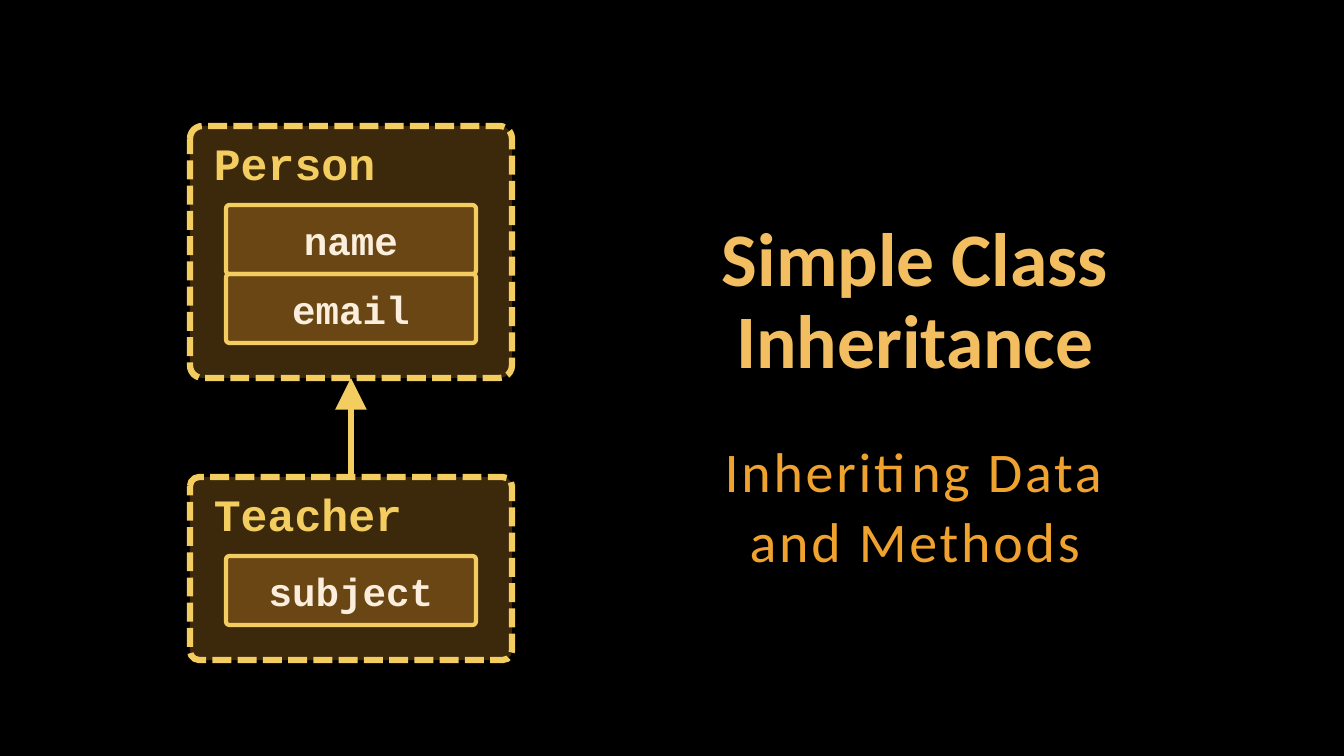
"""Build a slide on simple class inheritance: a class diagram beside a title."""
from lxml import etree
from pptx import Presentation, util as u
from pptx.dml.color import RGBColor
from pptx.enum import dml, shapes, text
from pptx.oxml.ns import qn

TITLE = "Simple Class Inheritance"
SUBTITLE = "Inheriting Data\vand Methods"
CLASSES = [
    ("Person", ["name", "email"]),
    ("Teacher", ["subject"]),
]

BLACK = RGBColor(0x00, 0x00, 0x00)
GOLD = RGBColor(0xF3, 0xCD, 0x60)
SAND = RGBColor(0xF3, 0xBE, 0x60)
ORANGE = RGBColor(0xF0, 0xA2, 0x2E)
CREAM = RGBColor(0xFB, 0xEE, 0xDC)

EMU_PER_PX = u.Inches(1) / 100.8
TEXT_LEFT, TEXT_WIDTH = 671, 488
BOX_LEFT, BOX_TOP, BOX_WIDTH, BOX_GAP = 190, 126, 322, 99
FIELD_INDENT, FIELD_OFFSET, FIELD_HEIGHT, BOX_FOOT = 36, 79, 69, 35
LABEL_INDENT, LABEL_OFFSET, LABEL_WIDTH, LABEL_HEIGHT = 14, 5, 217, 65


def px(*lengths):
    return [u.Emu(round(length * EMU_PER_PX)) for length in lengths]


def write(shape, content, *, font, size, color, bold=True, align=text.PP_ALIGN.CENTER,
          anchor=text.MSO_ANCHOR.TOP, line_spacing=1.0, space_after=0, tracking=0, inset=None):
    frame = shape.text_frame
    frame.word_wrap = True
    frame.vertical_anchor = anchor
    if inset is not None:
        frame.margin_left = frame.margin_right = u.Inches(inset)
        frame.margin_top = frame.margin_bottom = u.Inches(inset)
    paragraph = frame.paragraphs[0]
    paragraph.text = content
    paragraph.alignment = align
    paragraph.line_spacing = line_spacing
    paragraph.space_after = u.Pt(space_after)
    for run in paragraph.runs:
        run.font.name = font
        run.font.size = u.Pt(size)
        run.font.bold = bold
        run.font.color.rgb = color
        if tracking:
            run.font._element.set("spc", str(tracking * 100))


def add_box(slide, left, top, width, height, line_width, dash=None):
    box = slide.shapes.add_shape(shapes.MSO_SHAPE.ROUNDED_RECTANGLE, *px(left, top, width, height))
    box.adjustments[0] = 0.05
    box.shadow.inherit = False
    box.fill.solid()
    box.fill.fore_color.rgb = ORANGE
    color = box._element.spPr.find(qn("a:solidFill"))[0]
    etree.SubElement(color, qn("a:alpha"), val="25000")
    box.line.color.rgb = GOLD
    box.line.width = u.Pt(line_width)
    if dash:
        box.line.dash_style = dash
    return box


def add_class(slide, name, fields, top):
    height = FIELD_OFFSET + len(fields) * FIELD_HEIGHT + BOX_FOOT
    box = add_box(slide, BOX_LEFT, top, BOX_WIDTH, height, 4.5, dml.MSO_LINE.SQUARE_DOT)
    label = slide.shapes.add_textbox(
        *px(BOX_LEFT + LABEL_INDENT, top + LABEL_OFFSET, LABEL_WIDTH, LABEL_HEIGHT))
    write(label, name, font="Courier New", size=32, color=GOLD, align=text.PP_ALIGN.LEFT)
    for index, field in enumerate(fields):
        cell = add_box(slide, BOX_LEFT + FIELD_INDENT, top + FIELD_OFFSET + index * FIELD_HEIGHT,
                       BOX_WIDTH - 2 * FIELD_INDENT, FIELD_HEIGHT, 3)
        write(cell, field, font="Courier New", size=28, color=CREAM,
              anchor=text.MSO_ANCHOR.MIDDLE)
    return box, top + height + BOX_GAP


def add_arrow(slide):
    arrow = slide.shapes.add_connector(shapes.MSO_CONNECTOR.STRAIGHT, 0, 0, 0, 0)
    arrow.line.color.rgb = GOLD
    arrow.line.width = u.Pt(4.5)
    etree.SubElement(arrow.line._get_or_add_ln(), qn("a:tailEnd"),
                     type="triangle", w="lg", len="lg")
    etree.SubElement(arrow._element.spPr, qn("a:effectLst"))
    return arrow


def main():
    presentation = Presentation()
    presentation.slide_width, presentation.slide_height = px(1344, 756)
    slide = presentation.slides.add_slide(presentation.slide_layouts[6])
    slide.background.fill.solid()
    slide.background.fill.fore_color.rgb = BLACK

    title = slide.shapes.add_textbox(*px(TEXT_LEFT, 194, TEXT_WIDTH, 195))
    write(title, TITLE, font="Calibri", size=54, color=SAND, inset=0.04,
          anchor=text.MSO_ANCHOR.BOTTOM, line_spacing=0.9)
    subtitle = slide.shapes.add_textbox(*px(TEXT_LEFT, 429, TEXT_WIDTH, 150))
    write(subtitle, SUBTITLE, font="Calibri", size=40, color=ORANGE, inset=0.04,
          bold=False, line_spacing=1.05, space_after=6, tracking=2)

    arrow = add_arrow(slide)
    boxes, top = [], BOX_TOP
    for name, fields in CLASSES:
        box, top = add_class(slide, name, fields, top)
        boxes.append(box)
    parent, child = boxes
    arrow.begin_connect(child, 0)
    arrow.end_connect(parent, 2)

    presentation.save("out.pptx")


if __name__ == "__main__":
    main()
